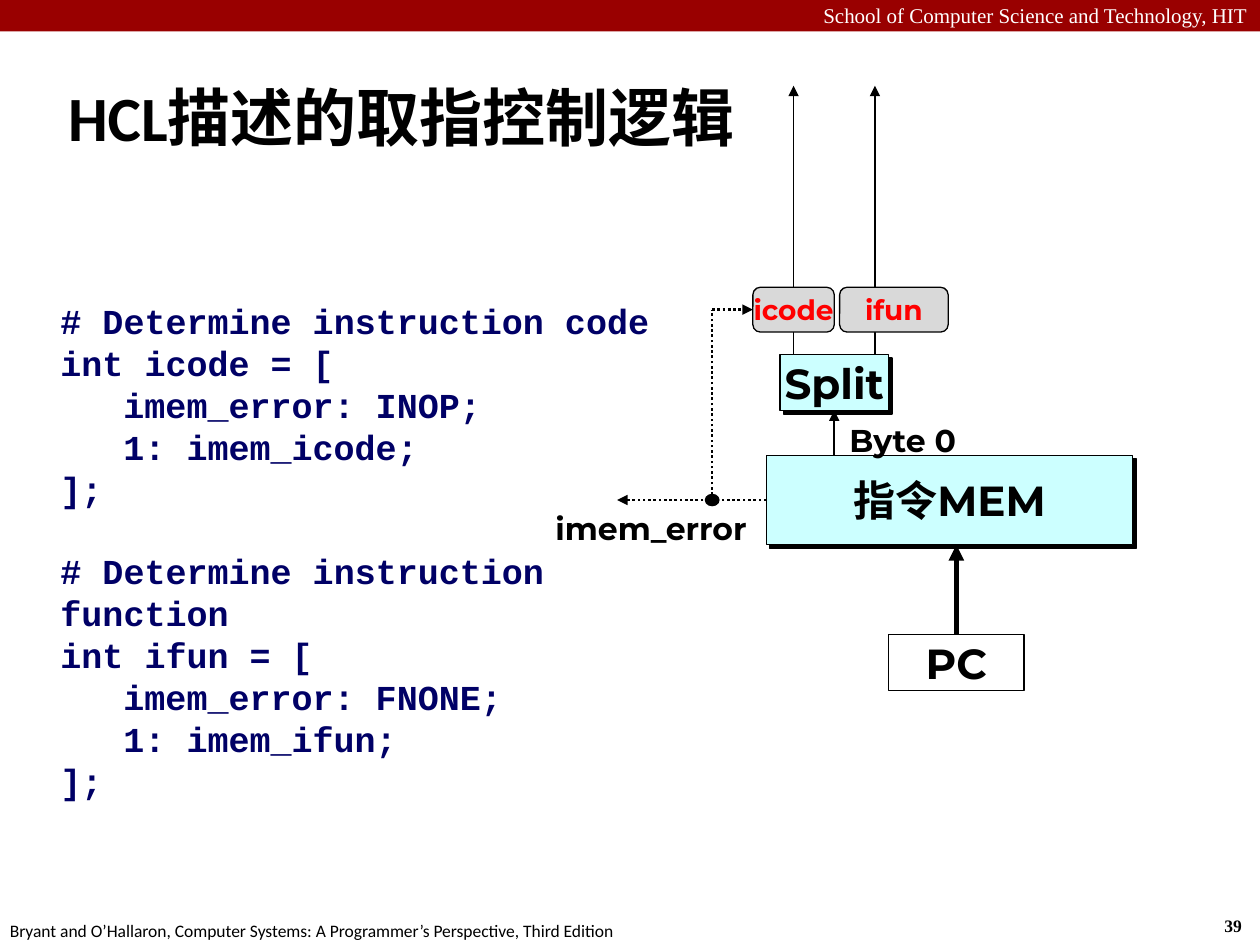
from lxml.etree import SubElement
from pptx import Presentation
from pptx.dml.color import RGBColor
from pptx.enum.dml import MSO_LINE
from pptx.enum.shapes import MSO_CONNECTOR, MSO_SHAPE
from pptx.enum.text import MSO_ANCHOR, PP_ALIGN
from pptx.oxml.ns import qn
from pptx.util import Inches, Pt

WIDE, HIGH = 10, 7.5
CODE = """# Determine instruction code
int icode = [
\timem_error: INOP;
\t1: imem_icode;
];
# Determine instruction function
int ifun = [
\timem_error: FNONE;
\t1: imem_ifun;
];"""


def paint(target, color):
    """Give a font, or a solid fill, its colour."""
    target.rgb = RGBColor.from_string(color)


def write(shape, text, size=18, font="Montserrat", color="000000", bold=True,
          align=PP_ALIGN.LEFT, anchor=MSO_ANCHOR.TOP, wrap=False):
    frame = shape.text_frame
    frame.word_wrap, frame.vertical_anchor = wrap, anchor
    for i, line in enumerate(text.split("\n")):
        para = frame.add_paragraph() if i else frame.paragraphs[0]
        para.alignment = align
        run = para.add_run()
        run.text = line
        run.font.size, run.font.name, run.font.bold = Pt(size), font, bold
        paint(run.font.color, color)
    return frame


def label(slide, box, text, **style):
    return write(slide.shapes.add_textbox(*map(Inches, box)), text, **style)


def block(slide, box, kind=MSO_SHAPE.RECTANGLE, fill=None, line="000000",
          weight=0.75, text="", drop=False, **style):
    shape = slide.shapes.add_shape(kind, *map(Inches, box))
    shape.shadow.inherit = False
    if fill:
        shape.fill.solid()
        paint(shape.fill.fore_color, fill)
    else:
        shape.fill.background()
    if line:
        paint(shape.line.color, line)
        shape.line.width = Pt(weight)
    else:
        shape.line.fill.background()
    if drop:
        effects = shape._element.spPr.find(qn("a:effectLst"))
        shade = SubElement(effects, qn("a:outerShdw"), dist=str(Pt(2.8)),
                           dir="2700000", algn="ctr", rotWithShape="0")
        SubElement(shade, qn("a:srgbClr"), val="000000")
    if text:
        write(shape, text, align=PP_ALIGN.CENTER, anchor=MSO_ANCHOR.MIDDLE, **style)
    return shape


def wire(slide, start, end, weight=1, dots=False, head=True, source=None, goal=None):
    """Draw a line; source and goal are (shape, side) pairs to join."""
    link = slide.shapes.add_connector(MSO_CONNECTOR.STRAIGHT,
                                      *map(Inches, (*start, *end)))
    if source:
        link.begin_connect(*source)
    if goal:
        link.end_connect(*goal)
    paint(link.line.color, "000000")
    link.line.width = Pt(weight)
    if dots:
        link.line.dash_style = MSO_LINE.ROUND_DOT
    if head:
        SubElement(link.line._get_or_add_ln(), qn("a:tailEnd"), type="triangle")
    SubElement(link._element.spPr, qn("a:effectLst"))


def frame_page(slide):
    """Add the top bar and the footer."""
    block(slide, (0, 0, WIDE, HIGH / 30), fill="990000", line=None)
    label(slide, (0, -0.03, WIDE, 0.3), "School of Computer Science and Technology, HIT",
          size=12, font="Times New Roman", color="FFFFFF", bold=False,
          align=PP_ALIGN.RIGHT, wrap=True)
    label(slide, (9.62, 7.21, 0.37, 0.27), "39", size=10, font="Times New Roman")
    label(slide, (-0.02, 7.25, 5.08, 0.27),
          "Bryant and O’Hallaron, Computer Systems: A Programmer’s Perspective, Third Edition",
          size=10, font="Calibri", bold=False)


def head_line(slide, box):
    title = slide.shapes.title
    title.left, title.top, title.width, title.height = map(Inches, box)
    write(title, "HCL描述的取指控制逻辑", size=36, font="Calibri",
          anchor=MSO_ANCHOR.MIDDLE, wrap=True)


def listing(slide, box):
    frame = label(slide, box, CODE, size=20, font="Courier New",
                  color="000066", wrap=True)
    frame.margin_left = frame.margin_right = Inches(0.05)
    frame.paragraphs[5].space_before = Pt(22.7)


def fetch_logic(slide, box):
    """Draw the fetch stage on a grid of 43 columns and 54 rows."""
    left, top, width, height = box
    col, row = width / 43, height / 54

    def at(x, y):
        return left + x * col, top + y * row

    def cell(x, y, w, h):
        return *at(x, y), w * col, h * row

    aqua = dict(fill="CCFFFF", drop=True, size=24)
    pill = dict(kind=MSO_SHAPE.ROUNDED_RECTANGLE, fill="D9D9D9", size=16, color="FF0000")
    mem = block(slide, cell(16, 33, 27, 8), text="指令MEM", **aqua)
    count = block(slide, cell(25, 49, 10, 5), text="PC", fill="FFFFFF", weight=1, size=24)
    split = block(slide, cell(17, 24, 8, 5), text="Split", **aqua)
    for x in (18, 24):
        wire(slide, at(x, 24), at(x, 0))
    icode = block(slide, cell(15, 18, 6, 4), text="icode", **pill)
    block(slide, cell(21.4, 18, 8, 4), text="ifun", **pill)
    wire(slide, at(30, 49), at(30, 41), weight=3, source=(count, 0))
    wire(slide, at(21, 33), at(21, 29), goal=(split, 2))
    label(slide, cell(21.2, 29.4, 10, 4.5), "Byte 0")

    dotted = dict(weight=1.5, dots=True)
    wire(slide, at(16, 37), at(5, 37), source=(mem, 1), **dotted)
    wire(slide, at(12, 37), at(12, 20), head=False, **dotted)
    wire(slide, at(12, 20), at(15, 20), goal=(icode, 1), **dotted)
    block(slide, cell(11.5, 36.5, 1, 1), kind=MSO_SHAPE.OVAL, fill="000000")
    block(slide, cell(0, 37, 15, 5), kind=MSO_SHAPE.OVAL, line=None, text="imem_error")


def main():
    deck = Presentation()
    deck.slide_width, deck.slide_height = Inches(WIDE), Inches(HIGH)
    slide = deck.slides.add_slide(deck.slide_layouts[5])
    frame_page(slide)
    head_line(slide, (0.44, 0.27, 5.81, 1.31))
    listing(slide, (0.43, 2.33, 5.22, 4.14))
    fetch_logic(slide, (4.36, 0.68, 4.63, 4.8))
    deck.save("out.pptx")


if __name__ == "__main__":
    main()
